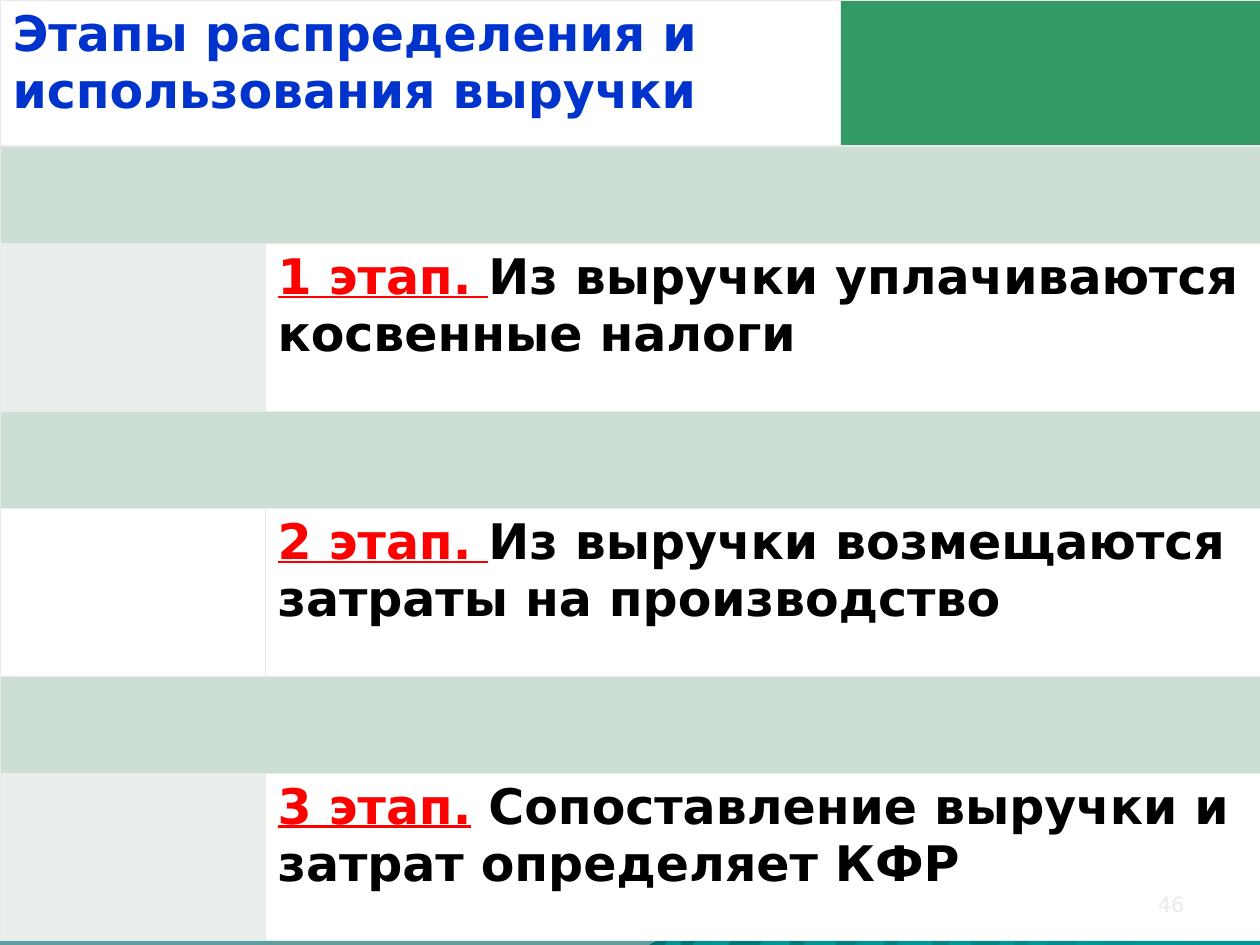
from typing import NamedTuple

from lxml.etree import SubElement
from pptx import Presentation
from pptx.dml.color import RGBColor
from pptx.enum.text import PP_ALIGN
from pptx.oxml.ns import qn
from pptx.util import Pt

EMU_PER_PX = 914400 / 126
SLIDE_WIDTH, SLIDE_HEIGHT = 1260, 945
FONT = "DejaVu Sans"
TITLE_SIZE, NUMBER_SIZE = 28, 12

BLUE, RED, BLACK, WHITE = "0033CC", "FF0000", "000000", "FFFFFF"
GREEN, BAND, TINT, BORDER = "339966", "CDDED3", "E8EFEA", "EAEAEA"
DEEP_TEAL, FOLD_TEAL, TEAL, PALE_TEAL = "006666", "008B8B", "009999", "5D9E9E"
THIN, THICK = 0.45, 1.47

COLUMN_WIDTHS = [265, 575, 420]
HEADING_HEIGHT, BAND_HEIGHT, STAGE_HEIGHT = 146, 97, 168
TITLE = "Этапы распределения и использования выручки"


class Stage(NamedTuple):
    """One stage of using the revenue."""
    label: str
    description: str
    side_color: str


class Fold(NamedTuple):
    """A rock face narrowing from its crest to the foot of the mountains."""
    crest_left: int
    crest_right: int
    crest_top: int
    foot_left: int
    foot_right: int


STAGES = [
    Stage("1 этап. ", "Из выручки уплачиваются косвенные налоги", TINT),
    Stage("2 этап. ", "Из выручки возмещаются затраты на производство", WHITE),
    Stage("3 этап.", " Сопоставление выручки и затрат определяет КФР", TINT),
]
RIDGE = [(0, 411), (36, 390), (92, 382), (125, 354), (190, 372), (242, 349),
         (301, 329), (345, 353), (367, 290), (432, 277), (492, 244),
         (536, 258), (596, 203), (610, 208)]
FOLDS = [
    Fold(30, 35, 389, 15, 30),
    Fold(65, 93, 382, 43, 78),
    Fold(143, 151, 356, 110, 139),
    Fold(171, 196, 359, 154, 185),
    Fold(240, 257, 349, 205, 233),
    Fold(264, 283, 346, 247, 282),
    Fold(301, 325, 327, 299, 321),
    Fold(362, 386, 278, 350, 364),
    Fold(414, 438, 275, 378, 396),
    Fold(465, 490, 245, 426, 450),
    Fold(526, 545, 249, 483, 527),
    Fold(593, 610, 203, 549, 610),
]


def px(length):
    """Convert px to whole EMU."""
    return round(length * EMU_PER_PX)


def rgb(value):
    """Return the colour for a hex string."""
    return RGBColor.from_string(value)


def shade(fill, start, end, angle):
    """Apply a two-colour gradient turned clockwise by the angle."""
    fill.gradient()
    fill.gradient_angle = 360 - angle
    for stop, value in zip(fill.gradient_stops, (start, end)):
        stop.color.rgb = rgb(value)


def style(run, size, color, bold=False, underline=False):
    """Format one run."""
    run.font.name = FONT
    run.font.size = Pt(size)
    run.font.bold = bold
    run.font.underline = underline
    run.font.color.rgb = rgb(color)


def add_outline(slide, left, top, points, start_color):
    """Draw a closed shaded outline relative to the given corner."""
    first, *others = [(px(left + x), px(top + y)) for x, y in points]
    builder = slide.shapes.build_freeform(*first)
    builder.add_line_segments(others)
    outline = builder.convert_to_shape()
    outline.shadow.inherit = False
    outline.line.fill.background()
    shade(outline.fill, start_color, TEAL, 45)


def add_mountains(slide, left, top, width, height):
    """Draw the ridge and its folds, all standing on the base of the box."""
    add_outline(slide, left, top, RIDGE + [(width, height)], DEEP_TEAL)
    for fold in FOLDS:
        corners = [(fold.crest_left, fold.crest_top),
                   (fold.crest_right, fold.crest_top),
                   (fold.foot_right, height), (fold.foot_left, height)]
        add_outline(slide, left, top, corners, FOLD_TEAL)


def paint_span(table, row, first, last, color, top=THIN, bottom=THIN):
    """Merge columns first to last of a row, then border and fill the cell."""
    cell = table.cell(row, first)
    if last > first:
        cell.merge(table.cell(row, last))
    properties = cell._tc.get_or_add_tcPr()
    for side, width in (("L", THIN), ("R", THIN), ("T", top), ("B", bottom)):
        edge = SubElement(properties, qn(f"a:ln{side}"), w=str(Pt(width)))
        paint = SubElement(edge, qn("a:solidFill"))
        SubElement(paint, qn("a:srgbClr"), val=BORDER)
    cell.fill.solid()
    cell.fill.fore_color.rgb = rgb(color)
    return cell


def add_heading(table):
    """Fill the top row with the title and its green corner."""
    heading = paint_span(table, 0, 0, 1, WHITE, bottom=THICK)
    paint_span(table, 0, 2, 2, GREEN, bottom=THICK)
    heading.text_frame.text = TITLE
    style(heading.text_frame.paragraphs[0].runs[0], TITLE_SIZE, BLUE, bold=True)


def add_stage(table, band_row, stage):
    """Fill a band row and the stage row below it."""
    paint_span(table, band_row, 0, 2, BAND, top=THICK if band_row == 1 else THIN)
    paint_span(table, band_row + 1, 0, 0, stage.side_color)
    statement = paint_span(table, band_row + 1, 1, 2, WHITE)
    paragraph = statement.text_frame.paragraphs[0]
    label, description = paragraph.add_run(), paragraph.add_run()
    label.text, description.text = stage.label, stage.description
    style(label, TITLE_SIZE, RED, bold=True, underline=True)
    style(description, TITLE_SIZE, BLACK, bold=True)


def add_stages_table(slide, left, top):
    """Place the table: a heading row, then two rows for each stage."""
    row_heights = [HEADING_HEIGHT] + [BAND_HEIGHT, STAGE_HEIGHT] * len(STAGES)
    table = slide.shapes.add_table(
        len(row_heights), len(COLUMN_WIDTHS), px(left), px(top),
        px(sum(COLUMN_WIDTHS)), px(sum(row_heights))).table
    table.first_row = table.horz_banding = False
    for column, width in zip(table.columns, COLUMN_WIDTHS):
        column.width = px(width)
    for row, height in zip(table.rows, row_heights):
        row.height = px(height)
    add_heading(table)
    for index, stage in enumerate(STAGES):
        add_stage(table, 1 + 2 * index, stage)


def add_page_number(slide, left, top, width, height):
    """Place the page number at the right of its box."""
    number = slide.shapes.add_textbox(
        px(left), px(top), px(width), px(height)).text_frame
    number.word_wrap = True
    number.text = "46"
    number.paragraphs[0].alignment = PP_ALIGN.RIGHT
    style(number.paragraphs[0].runs[0], NUMBER_SIZE, BORDER)


def main():
    """Build and save the slide."""
    presentation = Presentation()
    presentation.slide_width = px(SLIDE_WIDTH)
    presentation.slide_height = px(SLIDE_HEIGHT)
    slide = presentation.slides.add_slide(presentation.slide_layouts[6])
    shade(slide.background.fill, DEEP_TEAL, PALE_TEAL, 90)
    add_mountains(slide, left=650, top=534, width=610, height=411)
    add_stages_table(slide, left=0, top=0)
    add_page_number(slide, left=903, top=885, width=294, height=36)
    presentation.save("out.pptx")


if __name__ == "__main__":
    main()
